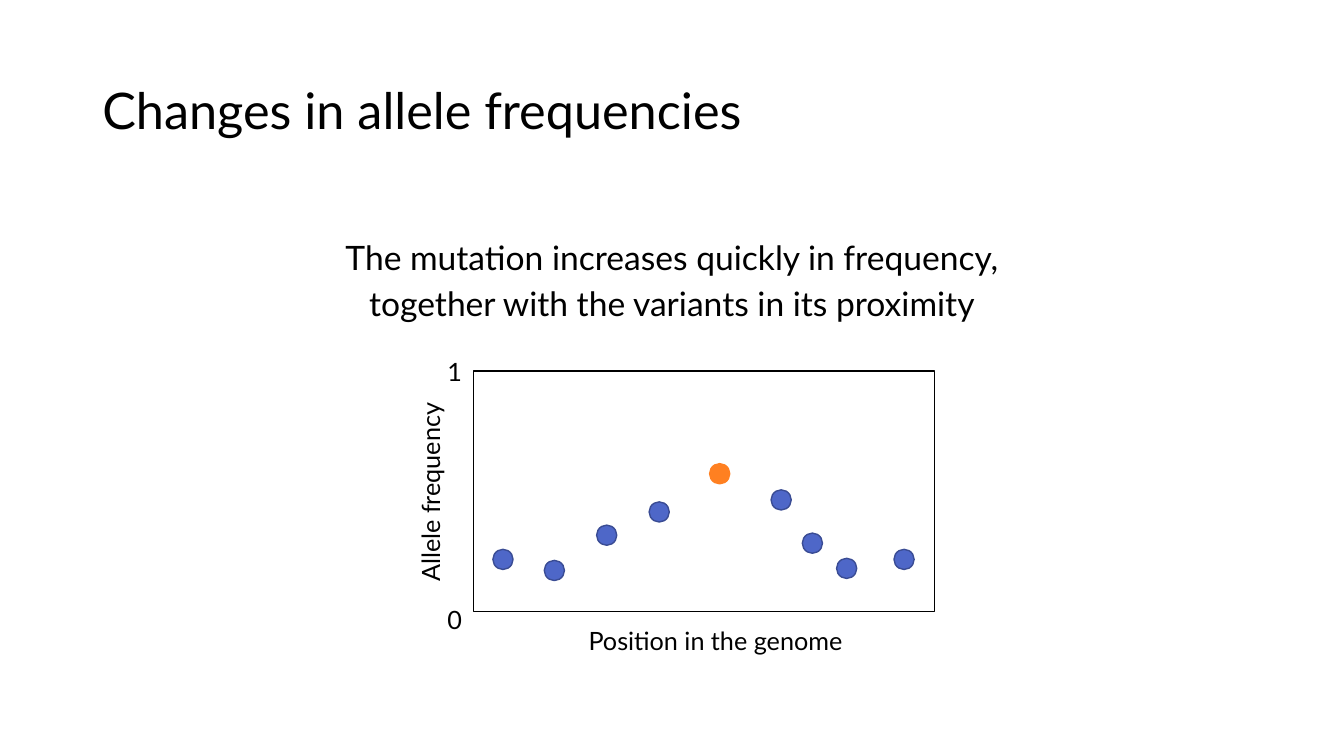
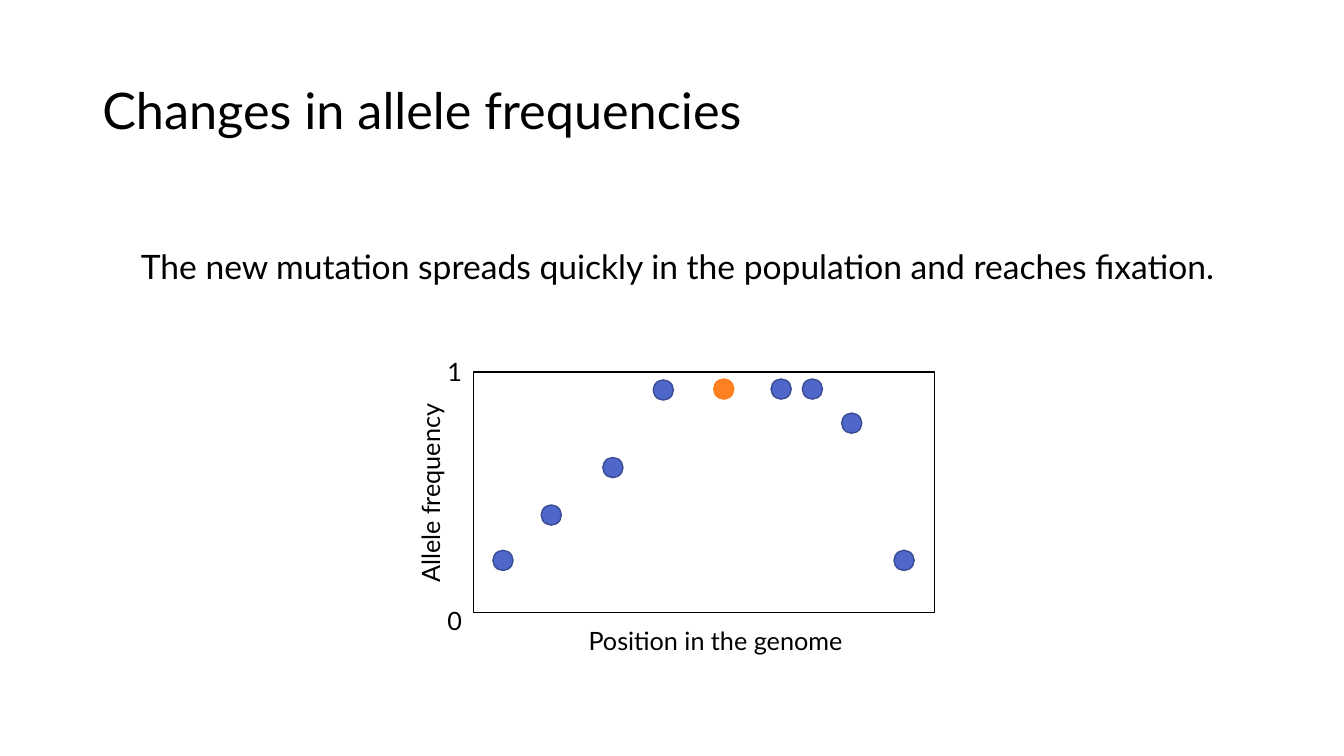
from pptx import Presentation
from pptx.dml.color import RGBColor
from pptx.enum.shapes import MSO_SHAPE
from pptx.enum.text import MSO_ANCHOR, MSO_AUTO_SIZE, PP_ALIGN
from pptx.util import Pt

RECTANGLE, OVAL = MSO_SHAPE.RECTANGLE, MSO_SHAPE.OVAL
MIDDLE, TOP = MSO_ANCHOR.MIDDLE, MSO_ANCHOR.TOP
GROW, FIXED = MSO_AUTO_SIZE.SHAPE_TO_FIT_TEXT, MSO_AUTO_SIZE.NONE
LEFT, CENTER = PP_ALIGN.LEFT, PP_ALIGN.CENTER

BLANK_LAYOUT = 6
FONT = "Lato"
BLACK = "000000"
VARIANT, VARIANT_EDGE = "4E67C8", "3A4C94"
MUTATION = "FF8021"
TITLE = "Changes in allele frequencies"
TITLE_SIZE, BODY_SIZE, LABEL_SIZE = 36, 24, 18
MARGIN, CONTENT_WIDTH = 66, 828
PLOT_LEFT, PLOT_WIDTH, PLOT_HEIGHT = 338.4, 329, 172
DOT_SIZE = 14.4
MUTATION_INDEX = 4

# Dot centres: points from the left edge and from the bottom edge of the plot
RISING_DOTS = [
    (20.9, 37.4), (57.6, 29.5), (95, 54.7), (132.5, 71.3), (175.7, 98.6),
    (219.6, 79.9), (241.9, 49), (266.4, 31), (307.4, 37.4),
]
FIXED_DOTS = [
    (20.9, 37.4), (55.4, 69.8), (99.4, 103.7), (135.4, 159.1), (178.6, 159.8),
    (219.6, 159.8), (241.9, 159.8), (270, 135.4), (307.4, 37.4),
]


def color(value):
    return RGBColor.from_string(value)


def set_attributes(target, values):
    for name, value in values.items():
        setattr(target, name, value)


class Deck:
    """Holds the presentation, its style and the current slide."""

    def __init__(self):
        self.presentation = Presentation()
        self.presentation.slide_width = Pt(960)
        self.presentation.slide_height = Pt(540)
        self.slide = None

    def add_slide(self):
        layout = self.presentation.slide_layouts[BLANK_LAYOUT]
        self.slide = self.presentation.slides.add_slide(layout)
        self.text([TITLE], MARGIN, 28.8, CONTENT_WIDTH, 104.4, TITLE_SIZE,
                  anchor=MIDDLE, paragraph_format={"line_spacing": 0.9})

    def text(self, lines, left, top, width, height, size, wrap=True,
             anchor=TOP, paragraph_format=None, gap=0, shapes=None):
        """Add a text box with one paragraph per line, gap points apart."""
        shapes = shapes or self.slide.shapes
        box = shapes.add_textbox(Pt(left), Pt(top), Pt(width), Pt(height))
        frame = box.text_frame
        set_attributes(frame, {
            "word_wrap": wrap,
            "auto_size": FIXED if wrap else GROW,
            "vertical_anchor": anchor,
        })
        for index, line in enumerate(lines):
            paragraph = frame.add_paragraph() if index else frame.paragraphs[0]
            paragraph.text = line
            set_attributes(paragraph, {
                "alignment": LEFT,
                "space_before": Pt(gap if index else 0),
                **(paragraph_format or {}),
            })
            set_attributes(paragraph.font, {"name": FONT, "size": Pt(size)})
            paragraph.font.color.rgb = color(BLACK)
        return box

    def label(self, text, left, top, width, shapes=None):
        return self.text([text], left, top, width, 29, LABEL_SIZE,
                         wrap=False, shapes=shapes)

    def shape(self, shapes, kind, left, top, width, height, line, fill=None):
        shape = shapes.add_shape(kind, Pt(left), Pt(top), Pt(width), Pt(height))
        shape.shadow.inherit = False
        if fill:
            shape.fill.solid()
            shape.fill.fore_color.rgb = color(fill)
        else:
            shape.fill.background()
        shape.line.color.rgb = color(line)
        shape.line.width = Pt(1)

    def plot(self, top, dots):
        """Add the frequency plot as a group, with its horizontal axis title."""
        shapes = self.slide.shapes.add_group_shape().shapes
        bottom = top + PLOT_HEIGHT
        self.shape(shapes, RECTANGLE, PLOT_LEFT, top, PLOT_WIDTH, PLOT_HEIGHT, BLACK)
        axis_title = self.label("Allele frequency", 234.7, top + 70.5, 145.4, shapes)
        axis_title.rotation = 270
        for index, (across, up) in enumerate(dots):
            if index == MUTATION_INDEX:
                fill, edge = MUTATION, MUTATION
            else:
                fill, edge = VARIANT, VARIANT_EDGE
            self.shape(shapes, OVAL, PLOT_LEFT + across - DOT_SIZE / 2,
                       bottom - up - DOT_SIZE / 2, DOT_SIZE, DOT_SIZE, edge, fill)
        self.label("0", 312.5, bottom - 8.6, 24.5, shapes)
        self.label("1", 312.5, top - 14.4, 24.5, shapes)
        self.label("Position in the genome", 413.3, 442.8, 203)


def main():
    deck = Deck()

    deck.add_slide()
    deck.text(["The mutation increases quickly in frequency,",
               "together with the variants in its proximity"],
              MARGIN, 171.4, CONTENT_WIDTH, 64.8, BODY_SIZE, gap=10,
              paragraph_format={"alignment": CENTER, "line_spacing": 0.8})
    deck.plot(265, RISING_DOTS)

    deck.add_slide()
    deck.text(["The new mutation spreads quickly in the population and reaches fixation."],
              93.6, 172, 797.8, 36, BODY_SIZE, wrap=False)
    deck.plot(265.7, FIXED_DOTS)

    deck.presentation.save("out.pptx")


if __name__ == "__main__":
    main()
